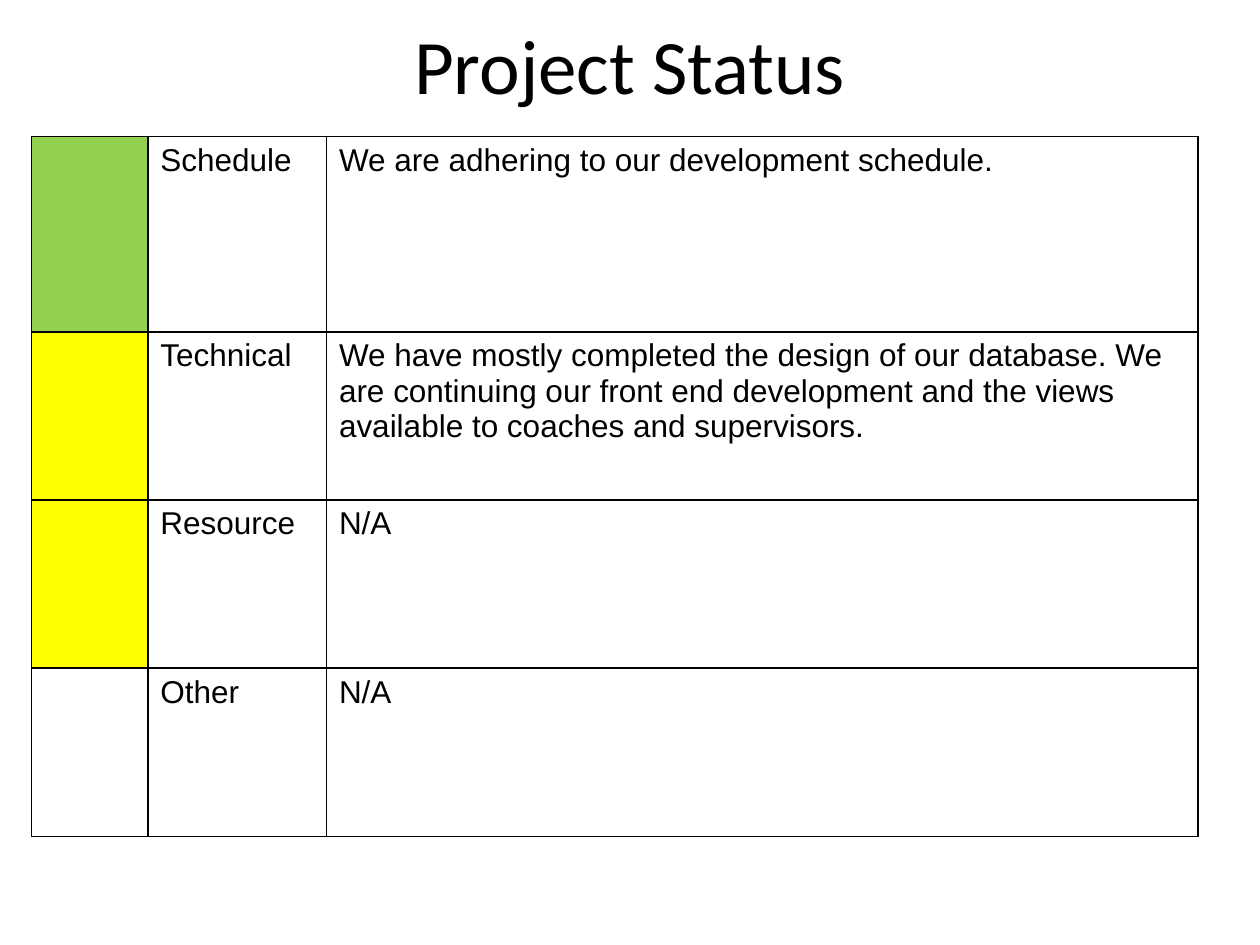
import pptx
import pptx.dml.color
import pptx.enum.text
import pptx.oxml.ns
import pptx.util
from lxml import etree

Cm = pptx.util.Cm
Pt = pptx.util.Pt


def color(hex_value):
    return pptx.dml.color.RGBColor.from_string(hex_value)


class StatusSlide:
    ink = "000000"
    paper = "FFFFFF"
    title_format = {"name": "Calibri", "size": Pt(44)}
    cell_format = {"name": "Arial", "size": Pt(18)}
    edges = ("a:lnL", "a:lnR", "a:lnT", "a:lnB")

    def __init__(self, deck):
        self.slide = deck.slides.add_slide(deck.slide_layouts[5])

    def format_text(self, paragraph, font_format):
        for attribute, value in font_format.items():
            setattr(paragraph.font, attribute, value)
        paragraph.font.color.rgb = color(self.ink)

    def title(self, wording, **place):
        heading = self.slide.shapes.title
        for attribute, value in place.items():
            setattr(heading, attribute, Cm(value))
        frame = heading.text_frame
        frame.text = wording
        frame.vertical_anchor = pptx.enum.text.MSO_ANCHOR.MIDDLE
        frame.paragraphs[0].alignment = pptx.enum.text.PP_ALIGN.CENTER
        self.format_text(frame.paragraphs[0], self.title_format)

    def borders(self, cell):
        properties = cell._tc.get_or_add_tcPr()
        qn = pptx.oxml.ns.qn
        for position, edge in enumerate(self.edges):
            line = etree.Element(qn(edge), w=str(Pt(1)))
            fill = etree.SubElement(line, qn("a:solidFill"))
            etree.SubElement(fill, qn("a:srgbClr"), val=self.ink)
            properties.insert(position, line)

    def cell(self, cell, wording, fill):
        cell.text = wording
        cell.fill.solid()
        cell.fill.fore_color.rgb = color(fill)
        self.format_text(cell.text_frame.paragraphs[0], self.cell_format)
        self.borders(cell)

    def table(self, statuses, left, top, widths, heights):
        table = self.slide.shapes.add_table(
            len(heights), len(widths), Cm(left), Cm(top),
            Cm(sum(widths)), Cm(sum(heights))).table
        table.first_row = False
        table.horz_banding = False
        for column, width in zip(table.columns, widths):
            column.width = Cm(width)
        for row, height, (light, area, report) in zip(table.rows, heights, statuses):
            row.height = Cm(height)
            contents = (("", light), (area, self.paper), (report, self.paper))
            for cell, (wording, fill) in zip(row.cells, contents):
                self.cell(cell, wording, fill)


def main():
    deck = pptx.Presentation()
    deck.slide_width = Cm(25.4)
    deck.slide_height = Cm(19.05)

    green, yellow, unrated = "92D050", "FFFF00", "FFFFFF"
    statuses = [
        (green, "Schedule", "We are adhering to our development schedule."),
        (yellow, "Technical",
         "We have mostly completed the design of our database. "
         "We are continuing our front end development and the views "
         "available to coaches and supervisors."),
        (yellow, "Resource", "N/A"),
        (unrated, "Other", "N/A"),
    ]

    status_slide = StatusSlide(deck)
    status_slide.title("Project Status", left=1.27, top=0.2, width=22.86, height=2.18)
    status_slide.table(statuses, left=0.64, top=2.75,
                       widths=[2.34, 3.6, 17.57],
                       heights=[3.94] + [3.39] * 3)
    deck.save("out.pptx")


if __name__ == "__main__":
    main()
